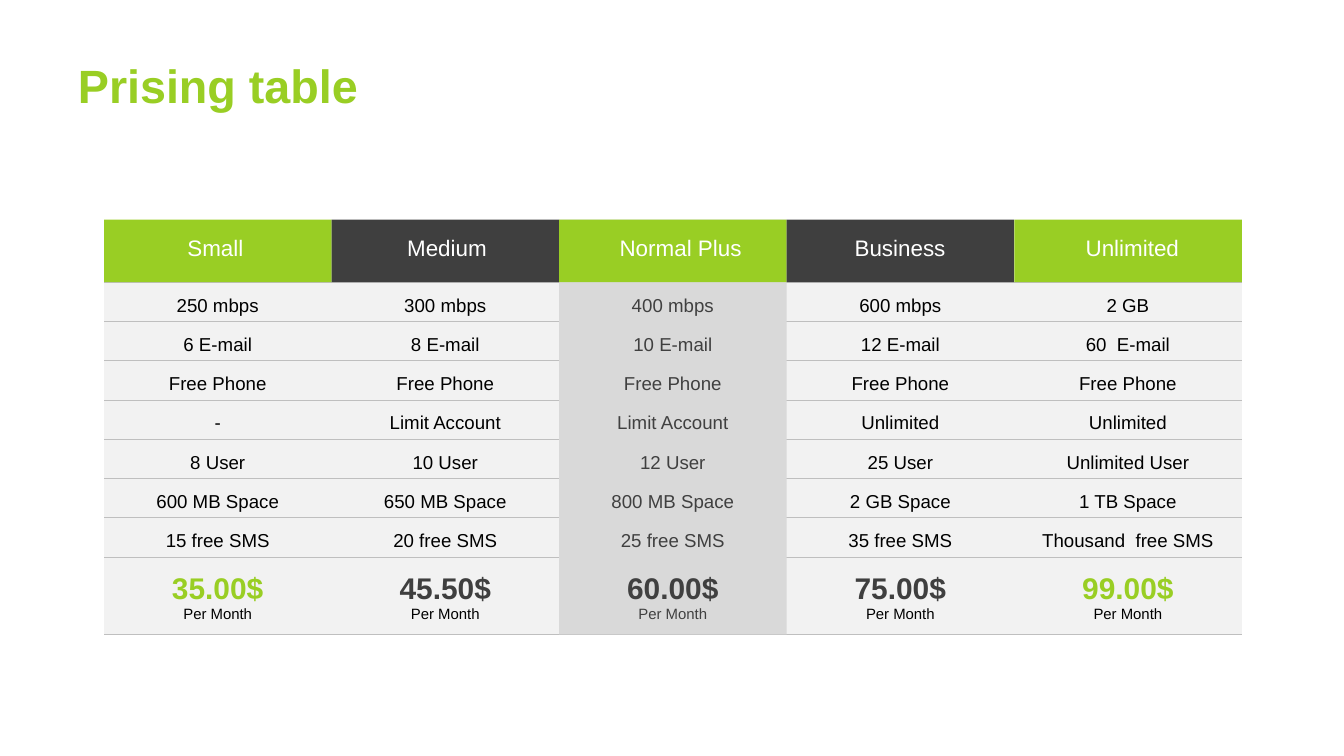
from lxml.etree import SubElement
from pptx import Presentation
from pptx.dml.color import RGBColor
from pptx.enum.shapes import MSO_CONNECTOR, MSO_SHAPE
from pptx.enum.text import MSO_ANCHOR, PP_ALIGN
from pptx.oxml.ns import qn
from pptx.util import Pt

# Content
TITLE = "Prising table"
PERIOD = "Per Month"
PLANS = [
    {"name": "Small", "price": "35.00$", "header": "green", "price_color": "green",
     "features": ["250 mbps", "6 E-mail", "Free Phone", "-", "8 User",
                  "600 MB Space", "15 free SMS"]},
    {"name": "Medium", "price": "45.50$", "header": "dark", "price_color": "dark",
     "features": ["300 mbps", "8 E-mail", "Free Phone", "Limit Account", "10 User",
                  "650 MB Space", "20 free SMS"]},
    {"name": "Normal Plus", "price": "60.00$", "header": "green", "price_color": "gray",
     "features": ["400 mbps", "10 E-mail", "Free Phone", "Limit Account", "12 User",
                  "800 MB Space", "25 free SMS"]},
    {"name": "Business", "price": "75.00$", "header": "dark", "price_color": "dark",
     "features": ["600 mbps", "12 E-mail", "Free Phone", "Unlimited", "25 User",
                  "2 GB Space", "35 free SMS"]},
    {"name": "Unlimited", "price": "99.00$", "header": "green", "price_color": "green",
     "features": ["2 GB", "60  E-mail", "Free Phone", "Unlimited", "Unlimited User",
                  "1 TB Space", "Thousand  free SMS"]},
]
LABEL_INSETS = [31, 37, 46, 34, 41]
HIGHLIGHT = 2

COLORS = {"green": "99CE24", "dark": "3F3F3F", "gray": "404040", "black": "000000",
          "white": "FFFFFF", "panel": "F2F2F2", "highlight": "D9D9D9", "rule": "BFBFBF"}
FONT = "Arial"

# Layout, 100 px to the inch
EMU_PER_PX = 9144
SLIDE_WIDTH, SLIDE_HEIGHT = 2000, 1125
TABLE_LEFT, TABLE_WIDTH = 155, 1693
HEADER_TOP, BODY_TOP, PRICE_TOP, TABLE_BOTTOM = 327, 420, 829, 944
COLUMN_WIDTH = TABLE_WIDTH / len(PLANS)
ROW_COUNT = len(PLANS[0]["features"])
ROW_HEIGHT = (PRICE_TOP - BODY_TOP) / ROW_COUNT


def px(value):
    return round(value * EMU_PER_PX)


def color(name):
    return RGBColor.from_string(COLORS[name])


def add_rectangle(slide, left, top, width, height, fill):
    shape = slide.shapes.add_shape(MSO_SHAPE.RECTANGLE, px(left), px(top), px(width), px(height))
    shape.shadow.inherit = False
    shape.fill.solid()
    shape.fill.fore_color.rgb = color(fill)
    shape.line.fill.background()
    return shape


def add_rule(slide, y):
    rule = slide.shapes.add_connector(MSO_CONNECTOR.STRAIGHT, px(TABLE_LEFT), px(y),
                                      px(TABLE_LEFT + TABLE_WIDTH), px(y))
    rule.line.color.rgb = color("rule")
    rule.line.width = Pt(0.75)
    SubElement(rule._element.spPr, qn("a:effectLst"))


def write(shape, lines, alignment=PP_ALIGN.CENTER, spacing=None, anchor=MSO_ANCHOR.TOP):
    """Each line is (text, size, color name, bold)."""
    frame = shape.text_frame
    frame.word_wrap = True
    frame.vertical_anchor = anchor
    for index, (text, size, color_name, bold) in enumerate(lines):
        paragraph = frame.paragraphs[0] if index == 0 else frame.add_paragraph()
        paragraph.alignment = alignment
        paragraph.line_spacing = spacing
        run = paragraph.add_run()
        run.text = text
        run.font.name = FONT
        run.font.size = Pt(size)
        run.font.bold = bold
        run.font.color.rgb = color(color_name)


def add_text(slide, left, top, width, height, lines, spacing=None):
    box = slide.shapes.add_textbox(px(left), px(top), px(width), px(height))
    write(box, lines, spacing=spacing)


def add_plan(slide, index, plan):
    left = TABLE_LEFT + index * COLUMN_WIDTH
    body_color = "gray" if index == HIGHLIGHT else "black"

    # Header cell and its label
    add_rectangle(slide, left, HEADER_TOP, COLUMN_WIDTH, BODY_TOP - HEADER_TOP, plan["header"])
    label = add_rectangle(slide, left + LABEL_INSETS[index], 344, 269, 50, plan["header"])
    write(label, [(plan["name"], 24, "white", False)])

    # Features and price
    features = [(text, 20, body_color, False) for text in plan["features"]]
    add_text(slide, left + 3, 407, 332, 422, features, spacing=1.75)
    add_text(slide, left + 3, 842, 332, 91, [(plan["price"], 32, plan["price_color"], True),
                                             (PERIOD, 16, body_color, False)])


def main():
    presentation = Presentation()
    presentation.slide_width = px(SLIDE_WIDTH)
    presentation.slide_height = px(SLIDE_HEIGHT)
    slide = presentation.slides.add_slide(presentation.slide_layouts[5])

    # Title
    title = slide.shapes.title
    title.left, title.top, title.width, title.height = px(106), px(79), px(492), px(94)
    write(title, [(TITLE, 50, "green", True)], alignment=PP_ALIGN.JUSTIFY)

    # Table background, row rules and highlighted column
    add_rectangle(slide, TABLE_LEFT, BODY_TOP, TABLE_WIDTH, TABLE_BOTTOM - BODY_TOP, "panel")
    for row in range(ROW_COUNT + 1):
        add_rule(slide, BODY_TOP + row * ROW_HEIGHT)
    add_rule(slide, TABLE_BOTTOM)
    add_rectangle(slide, TABLE_LEFT + HIGHLIGHT * COLUMN_WIDTH, HEADER_TOP,
                  COLUMN_WIDTH, TABLE_BOTTOM - HEADER_TOP, "highlight")

    # Plan columns
    for index, plan in enumerate(PLANS):
        add_plan(slide, index, plan)

    presentation.save("out.pptx")


if __name__ == "__main__":
    main()
